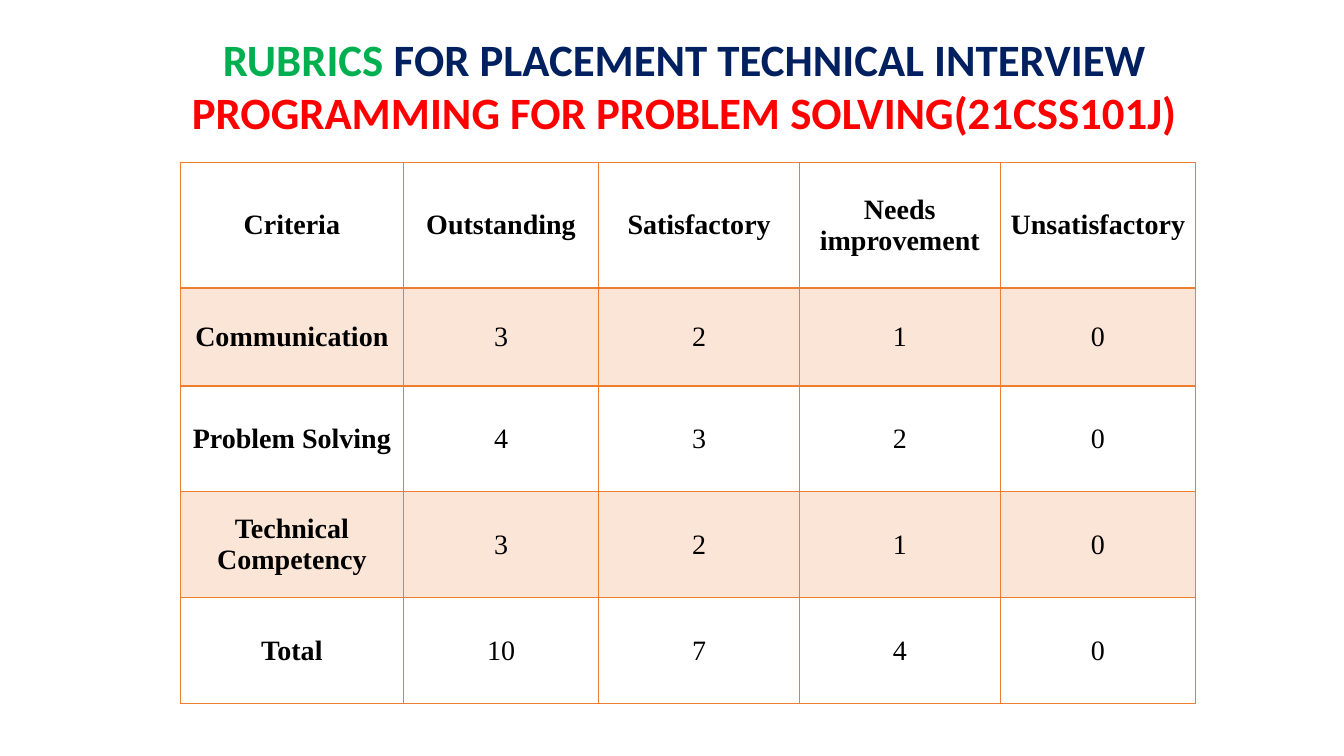
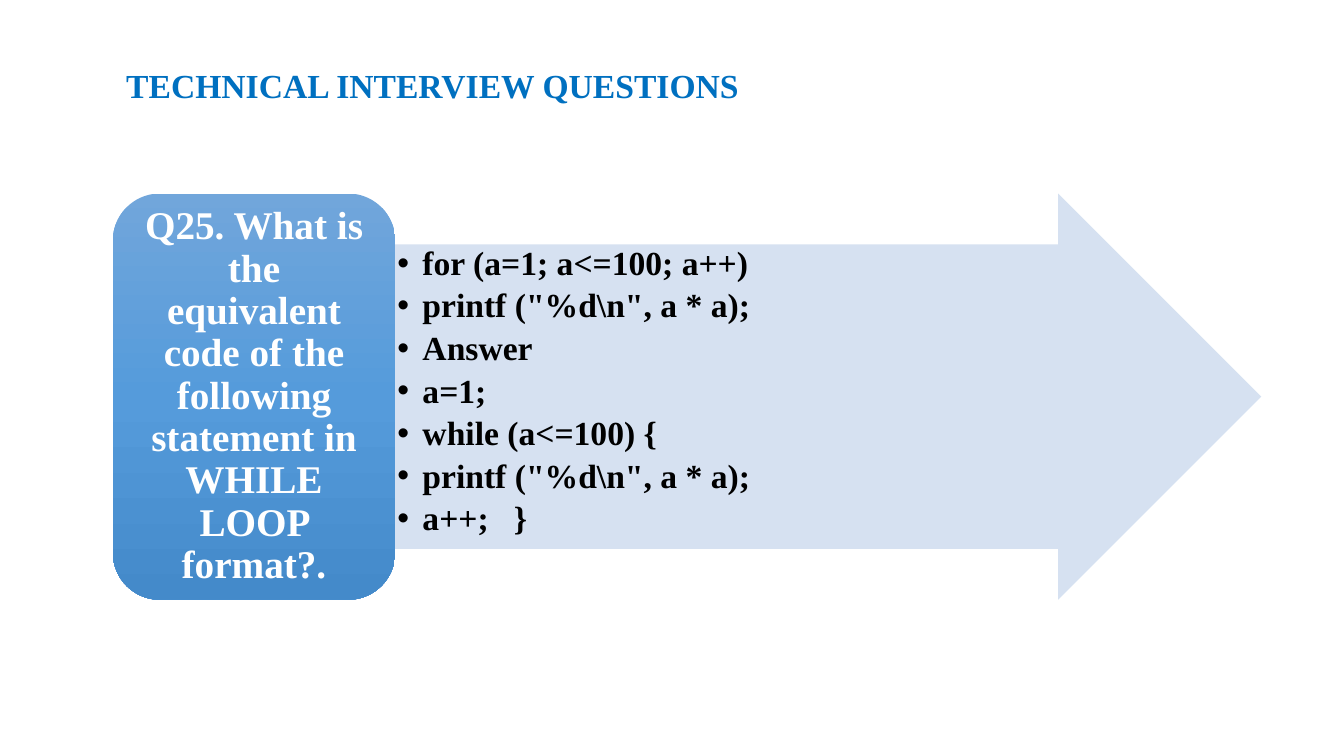
import pptx
import pptx.util
import pptx.dml.color
import pptx.enum.shapes
import pptx.enum.text
import pptx.oxml
import pptx.oxml.ns
import lxml.etree

Inches, Pt = pptx.util.Inches, pptx.util.Pt
Align, Anchor = pptx.enum.text.PP_ALIGN, pptx.enum.text.MSO_ANCHOR
Kind = pptx.enum.shapes.MSO_SHAPE
qn = pptx.oxml.ns.qn

SERIF, SANS = "Times New Roman", "Calibri"
BLACK, WHITE = "000000", "FFFFFF"
GREEN, NAVY, RED, BLUE = "00B050", "002060", "FF0000", "0070C0"
ORANGE, PEACH, PALE = "ED7D31", "FBE5D6", "D6E1F1"
SHADES = [(0, "71A6DB"), (50, "559BDB"), (100, "448ACA")]

RUBRIC = [
    ["Criteria", "Outstanding", "Satisfactory", "Needs improvement", "Unsatisfactory"],
    ["Communication", "3", "2", "1", "0"],
    ["Problem Solving", "4", "3", "2", "0"],
    ["Technical Competency", "3", "2", "1", "0"],
    ["Total", "10", "7", "4", "0"],
]
QUESTION = ("Q25. What is the equivalent code of the following statement "
            "in WHILE LOOP format?.")
CODE = [
    "for (a=1; a<=100; a++)",
    'printf ("%d\\n", a * a);',
    "Answer",
    "a=1;",
    "while (a<=100) {",
    'printf ("%d\\n", a * a);',
    "a++;   }",
]


def color(code):
    return pptx.dml.color.RGBColor.from_string(code)


def style(run, size, code, face=SERIF, bold=True):
    font = run.font
    font.size, font.name, font.bold = Pt(size), face, bold
    font.color.rgb = color(code)


def place(shape, box):
    shape.left, shape.top, shape.width, shape.height = [Inches(n) for n in box]


def frame(shape, side, end, anchor):
    """Set the margins, wrapping and anchor of a shape's text."""
    text = shape.text_frame
    text.word_wrap = True
    text.auto_size = pptx.enum.text.MSO_AUTO_SIZE.NONE
    text.vertical_anchor = anchor
    text.margin_left = text.margin_right = Inches(side)
    text.margin_top = text.margin_bottom = Inches(end)
    return text


def title(slide, box, lines, size, face):
    """Fill the title; each line is a list of (text, colour) pairs."""
    shape = slide.shapes.title
    place(shape, box)
    text = frame(shape, 0.1, 0.05, Anchor.TOP)
    for i, line in enumerate(lines):
        para = text.add_paragraph() if i else text.paragraphs[0]
        para.alignment = Align.CENTER
        for words, code in line:
            run = para.add_run()
            run.text = words
            style(run, size, code, face)


def border(cell, under):
    """Draw the four cell edges; under is the width of the lower one."""
    props = cell._tc.get_or_add_tcPr()
    for i, (tag, width) in enumerate([("lnL", 1), ("lnR", 1), ("lnT", 1), ("lnB", under)]):
        line = lxml.etree.Element(qn("a:" + tag), w=str(Pt(width)))
        fill = lxml.etree.SubElement(line, qn("a:solidFill"))
        lxml.etree.SubElement(fill, qn("a:srgbClr"), val=ORANGE)
        props.insert(i, line)


def grid(slide, left, top, cols, rows, data):
    box = [Inches(n) for n in (left, top, sum(cols), sum(rows))]
    table = slide.shapes.add_table(len(rows), len(cols), *box).table
    for col, width in zip(table.columns, cols):
        col.width = Inches(width)
    for r, (row, height) in enumerate(zip(data, rows)):
        table.rows[r].height = Inches(height)
        for c, words in enumerate(row):
            cell = table.cell(r, c)
            cell.text = words
            cell.vertical_anchor = Anchor.MIDDLE
            cell.margin_left = cell.margin_right = Inches(0.07)
            para = cell.text_frame.paragraphs[0]
            para.alignment = Align.CENTER
            style(para.runs[0], 20, BLACK, bold=r == 0 or c == 0)
            if r % 2:
                cell.fill.solid()
                cell.fill.fore_color.rgb = color(PEACH)
            else:
                cell.fill.background()
            border(cell, 1 if r else 2)


def block(slide, kind, box):
    shape = slide.shapes.add_shape(kind, *[Inches(n) for n in box])
    shape.shadow.inherit = False
    shape.line.fill.background()
    return shape


def shade(shape):
    """Fill a shape from top to bottom with the shared blues."""
    shape.fill.gradient()
    shape.fill.gradient_angle = 270
    stops = shape._element.spPr.find(".//" + qn("a:gsLst"))
    for stop in list(stops):
        stops.remove(stop)
    for pos, code in SHADES:
        stop = lxml.etree.SubElement(stops, qn("a:gs"), pos=str(pos * 1000))
        lxml.etree.SubElement(stop, qn("a:srgbClr"), val=code)


def card(slide, box, words):
    shape = block(slide, Kind.ROUNDED_RECTANGLE, box)
    shade(shape)
    text = frame(shape, 0.12, 0.06, Anchor.MIDDLE)
    text.text = words
    para = text.paragraphs[0]
    para.alignment, para.line_spacing = Align.CENTER, 0.9
    style(para.runs[0], 28, WHITE)


def arrow(slide, box, lines):
    """Draw the arrow and lay the bulleted list over its shaft."""
    left, top, width, height = box
    shape = block(slide, Kind.RIGHT_ARROW, box)
    shape.adjustments[0], shape.adjustments[1] = 0.75, 0.5
    shape.fill.solid()
    shape.fill.fore_color.rgb = color(PALE)

    body = slide.placeholders[1]
    slide.shapes._spTree.append(body._element)
    place(body, (left, top + height / 8, width - 1.51, height * 0.75))
    text = frame(body, 0.02, 0.02, Anchor.TOP)
    text.text = "\n".join(lines)
    for para in text.paragraphs:
        para.alignment, para.line_spacing = Align.LEFT, 0.9
        para.space_before, para.space_after = Pt(0), Pt(4.5)
        props = para._p.get_or_add_pPr()
        props.set("marL", str(Inches(0.25)))
        props.set("indent", str(Inches(-0.25)))
        style(para.runs[0], 24, BLACK)


def rubric(deck):
    slide = deck.slides.add_slide(deck.slide_layouts[5])
    lines = [
        [("RUBRICS", GREEN), (" FOR PLACEMENT TECHNICAL INTERVIEW", NAVY)],
        [("PROGRAMMING FOR PROBLEM SOLVING(21CSS101J)", RED)],
    ]
    title(slide, (1.56, 0.26, 10.46, 1.18), lines, 32, SANS)
    cols = [2.21, 1.94, 1.99, 1.99, 1.94]
    rows = [1.25, 0.97] + [1.05] * 3
    grid(slide, 1.79, 1.61, cols, rows, RUBRIC)


def quiz(deck):
    slide = deck.slides.add_slide(deck.slide_layouts[1])
    lines = [[("TECHNICAL INTERVIEW QUESTIONS", BLUE)]]
    title(slide, (1.12, 0.59, 6.34, 0.5), lines, 24, SERIF)
    left, top, width, height = 1.12, 1.92, 2.8, 4.03
    arrow(slide, (left + width, top, 8.59, height), CODE)
    card(slide, (left, top, width, height), QUESTION)


def main():
    deck = pptx.Presentation()
    deck.slide_width, deck.slide_height = Inches(13.33), Inches(7.5)
    rubric(deck)
    quiz(deck)
    deck.save("out.pptx")


if __name__ == "__main__":
    main()
